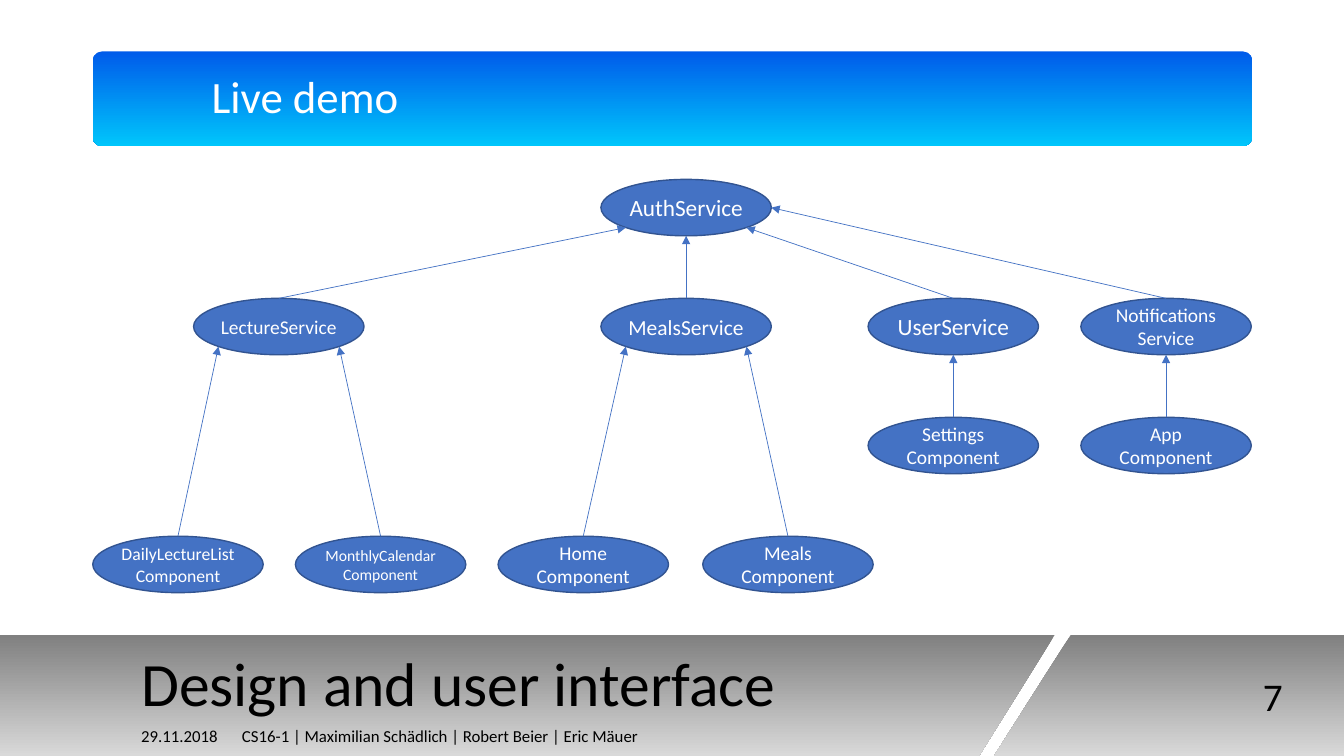
import lxml.etree
import pptx
import pptx.dml.color
import pptx.enum.shapes
import pptx.enum.text
import pptx.oxml.ns
import pptx.util

Inches = pptx.util.Inches
RGBColor = pptx.dml.color.RGBColor
MSO_SHAPE = pptx.enum.shapes.MSO_SHAPE
PP_ALIGN = pptx.enum.text.PP_ALIGN
MSO_ANCHOR = pptx.enum.text.MSO_ANCHOR
qn = pptx.oxml.ns.qn

BLACK = RGBColor(0x00, 0x00, 0x00)
WHITE = RGBColor(0xFF, 0xFF, 0xFF)
BAND_TOP = RGBColor(0x80, 0x80, 0x80)
BAND_BOTTOM = RGBColor(0xD9, 0xD9, 0xD9)
BAR_TOP = RGBColor(0x00, 0x5B, 0xEA)
BAR_BOTTOM = RGBColor(0x00, 0xC6, 0xFB)
NODE = RGBColor(0x44, 0x72, 0xC4)
NODE_LINE = RGBColor(0x32, 0x54, 0x91)


def fill_down(sp, top, bottom):
    """Fill a shape with a gradient from top to bottom, without outline."""
    sp.shadow.inherit = False
    sp.line.fill.background()
    sp.fill.gradient()
    sp.fill.gradient_angle = 270
    for stop, color in zip(sp.fill.gradient_stops, (top, bottom)):
        stop.color.rgb = color


def set_text(sp, text, size, color, align=PP_ALIGN.LEFT,
             anchor=MSO_ANCHOR.MIDDLE, insets=(0, 0.05, 0.1, 0.05)):
    """Write and format the text of a shape; insets in inches."""
    tf = sp.text_frame
    tf.text = text
    tf.word_wrap = True
    tf.auto_size = pptx.enum.text.MSO_AUTO_SIZE.NONE
    tf.vertical_anchor = anchor
    tf.margin_left, tf.margin_top, tf.margin_right, tf.margin_bottom = map(Inches, insets)
    for p in tf.paragraphs:
        p.alignment = align
        p.font.name = "Calibri"
        p.font.size = pptx.util.Pt(size)
        p.font.color.rgb = color


prs = pptx.Presentation()
prs.slide_width = Inches(13.33)
prs.slide_height = Inches(7.5)
s = prs.slides.add_slide(prs.slide_layouts[5])

# Footer band, split by a slanted gap
right_part = [(13.33, 6.3), (13.33, 7.5), (9.86, 7.5), (10.62, 6.3)]
left_part = [(0, 6.3), (10.46, 6.3), (9.71, 7.5), (0, 7.5)]
right_part, left_part = [[(Inches(x), Inches(y)) for x, y in part]
                         for part in (right_part, left_part)]
fb = s.shapes.build_freeform(*right_part[0])
fb.add_line_segments(right_part[1:], close=True)
fb.move_to(*left_part[0])
fb.add_line_segments(left_part[1:], close=True)
band = fb.convert_to_shape()
fill_down(band, BAND_TOP, BAND_BOTTOM)

# Page number, date and authors
number = s.shapes.add_textbox(Inches(11.55), Inches(6.54), Inches(1.27), Inches(0.72))
set_text(number, "7", 28, BLACK, PP_ALIGN.RIGHT, insets=(0.1, 0.05, 0.1, 0.05))
footer = s.shapes.add_textbox(Inches(1.4), Inches(7.1), Inches(6.85), Inches(0.4))
set_text(footer, "29.11.2018\tCS16-1 | Maximilian Schädlich | Robert Beier | Eric Mäuer",
         12, BLACK)

# Heading bar
bar = s.shapes.add_shape(MSO_SHAPE.ROUNDED_RECTANGLE,
                         Inches(0.92), Inches(0.51), Inches(11.5), Inches(0.94))
bar.adjustments[0] = 0.1
fill_down(bar, BAR_TOP, BAR_BOTTOM)
heading = s.shapes.add_textbox(Inches(2), Inches(0.51), Inches(10.42), Inches(0.94))
set_text(heading, "Live demo", 32, WHITE, insets=(0.1, 0.1, 0.1, 0.1))
heading.text_frame.paragraphs[0].line_spacing = 0.9

# Slide title, brought in front of the band
title = s.shapes.title
title.left, title.top = Inches(1.4), Inches(6.43)
title.width, title.height = Inches(8.5), Inches(0.66)
set_text(title, "Design and user interface", 44, BLACK, anchor=MSO_ANCHOR.TOP)
title.text_frame.paragraphs[0].line_spacing = 0.9
s.shapes._spTree.append(title._element)

# Services and components: key, text, left, row, font size
NODE_W, NODE_H = Inches(1.69), Inches(0.56)
ROW_TOP, ROW_STEP = 1.78, 1.18
NODES = [
    ("auth", "AuthService", 5.96, 0, 16.6),
    ("lecture", "LectureService", 1.92, 1, 13.9),
    ("meals", "MealsService", 5.96, 1, 15.3),
    ("user", "UserService", 8.61, 1, 16.6),
    ("notifications", "Notifications\nService", 10.72, 1, 13.9),
    ("settings", "Settings Component", 8.61, 2, 13.9),
    ("app", "App Component", 10.72, 2, 13.9),
    ("home", "Home Component", 4.94, 3, 13.9),
    ("meals list", "Meals Component", 6.97, 3, 13.9),
    ("daily", "DailyLectureList\nComponent", 0.92, 3, 12.6),
    ("monthly", "MonthlyCalendar\nComponent", 2.93, 3, 11.2),
]
nodes = {}
for key, text, left, row, size in NODES:
    sp = s.shapes.add_shape(MSO_SHAPE.OVAL, Inches(left), Inches(ROW_TOP + row * ROW_STEP),
                            NODE_W, NODE_H)
    sp.shadow.inherit = False
    sp.fill.solid()
    sp.fill.fore_color.rgb = NODE
    sp.line.color.rgb = NODE_LINE
    sp.line.width = pptx.util.Pt(1)
    set_text(sp, text, size, WHITE, PP_ALIGN.CENTER, insets=(0, 0, 0, 0))
    nodes[key] = sp

# Arrows from the top of each node to a connection site of the one it uses
# Site: index on the ellipse, x and y as fractions of its size
SITES = {
    "bottom left": (3, 0.146, 0.854),
    "bottom": (4, 0.5, 1),
    "bottom right": (5, 0.854, 0.854),
    "right": (6, 1, 0.5),
}
ARROWS = [
    ("lecture", "auth", "bottom left"),
    ("meals", "auth", "bottom"),
    ("user", "auth", "bottom right"),
    ("notifications", "auth", "right"),
    ("settings", "user", "bottom"),
    ("app", "notifications", "bottom"),
    ("meals list", "meals", "bottom right"),
    ("home", "meals", "bottom left"),
    ("monthly", "lecture", "bottom right"),
    ("daily", "lecture", "bottom left"),
]
for source, target, site in ARROWS:
    start, end = nodes[source], nodes[target]
    index, fx, fy = SITES[site]
    arrow = s.shapes.add_connector(
        pptx.enum.shapes.MSO_CONNECTOR.STRAIGHT,
        start.left + NODE_W // 2, start.top,
        end.left + round(NODE_W * fx), end.top + round(NODE_H * fy))
    arrow.begin_connect(start, 0)
    lxml.etree.SubElement(arrow._element.nvCxnSpPr.cNvCxnSpPr, qn("a:endCxn"),
                          id=str(end.shape_id), idx=str(index))
    arrow.line.color.rgb = NODE
    arrow.line.width = pptx.util.Pt(0.5)
    lxml.etree.SubElement(arrow.line._get_or_add_ln(), qn("a:tailEnd"), type="triangle")
    lxml.etree.SubElement(arrow._element.spPr, qn("a:effectLst"))

prs.save("out.pptx")
